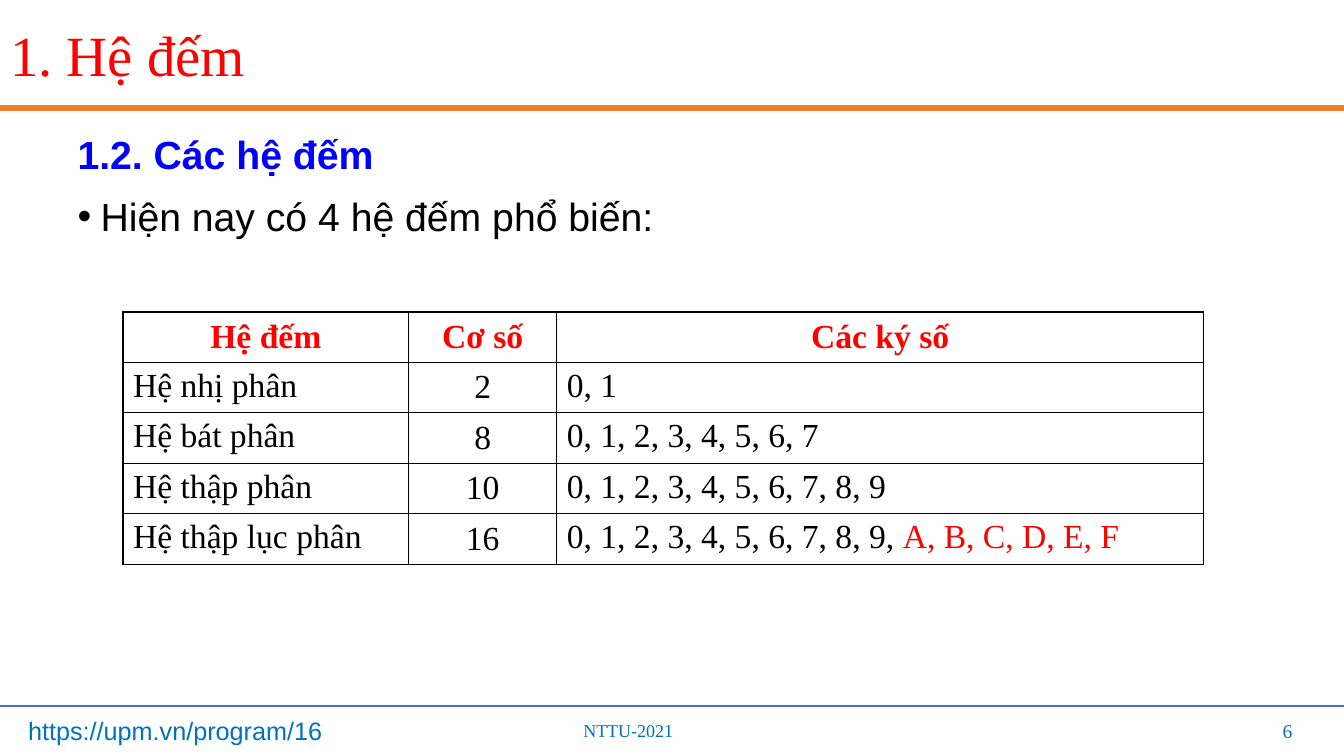
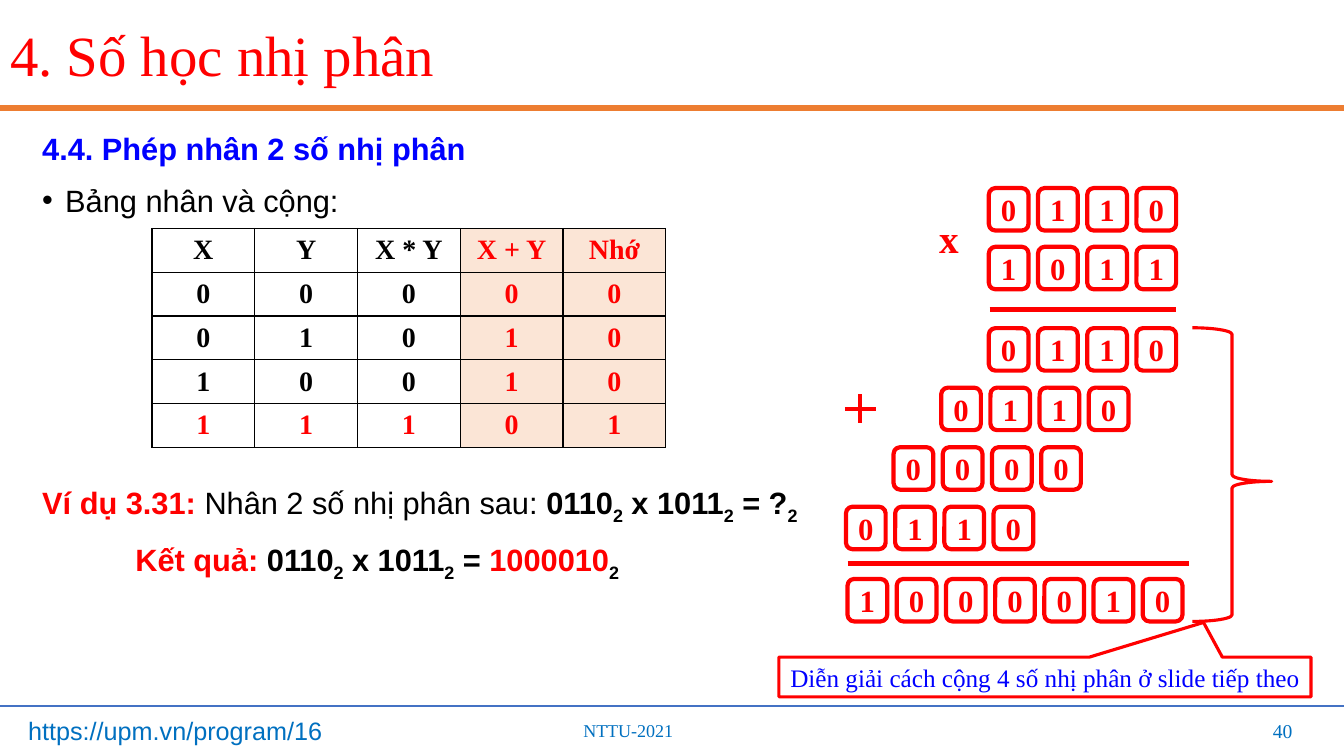
"""Build two lecture slides on number systems and binary multiplication."""
from lxml.etree import SubElement
from pptx import Presentation
from pptx.dml.color import RGBColor
from pptx.enum.shapes import MSO_CONNECTOR, MSO_SHAPE as Kind
from pptx.enum.text import MSO_ANCHOR as Anchor, MSO_AUTO_SIZE as Auto, PP_ALIGN as Align
from pptx.oxml.ns import qn
from pptx.util import Cm, Pt

RED, BLUE, BLACK = "FF0000", "0000FF", "000000"
ORANGE, RULE, FOOT, PEACH = "ED7D31", "4472C4", "0070C0", "FBE5D6"
SERIF, SANS = "Times New Roman", "Arial"
WIDE, HIGH = 33.87, 19.05

BASES = [
    ["Hệ đếm", "Cơ số", "Các ký số"],
    ["Hệ nhị phân", "2", "0, 1"],
    ["Hệ bát phân", "8", "0, 1, 2, 3, 4, 5, 6, 7"],
    ["Hệ thập phân", "10", "0, 1, 2, 3, 4, 5, 6, 7, 8, 9"],
    ["Hệ thập lục phân", "16",
     [("0, 1, 2, 3, 4, 5, 6, 7, 8, 9, ", BLACK), ("A, B, C, D, E, F", RED)]],
]
TRUTH = [
    ["X", "Y", "X * Y", "X + Y", "Nhớ"],
    ["0", "0", "0", "0", "0"],
    ["0", "1", "0", "1", "0"],
    ["1", "0", "0", "1", "0"],
    ["1", "1", "1", "0", "1"],
]
SUB = ("2", BLACK, True, True)
INTRO = [
    {"runs": [("1.2. Các hệ đếm", BLUE, True)]},
    {"runs": [("Hiện nay có 4 hệ đếm phổ biến:", BLACK)], "dot": True},
]
TIMES = [
    {"runs": [("4.4. Phép nhân 2 số nhị phân", BLUE, True)]},
    {"runs": [("Bảng nhân và cộng:", BLACK)], "dot": True},
    {"runs": [("Ví dụ 3.31: ", RED, True), ("Nhân 2 số nhị phân sau: ", BLACK),
              ("0110", BLACK, True), SUB, (" x 1011", BLACK, True), SUB,
              (" = ?", BLACK, True), SUB], "gap": 188},
    {"runs": [("Kết quả: ", RED, True), ("0110", BLACK, True), SUB,
              (" x 1011", BLACK, True), SUB, (" = ", BLACK, True),
              ("1000010", RED, True), SUB], "left": 2.35},
]
FACTORS = ["0110", "1011"]
PARTS = ["0110", "0110", "0000", "0110"]
TOTAL = "1000010"


def hue(code):
    """Turn a hex string into a colour."""
    return RGBColor.from_string(code)


def box(x, y, w, h):
    """Return a place in centimetres as lengths."""
    return Cm(x), Cm(y), Cm(w), Cm(h)


def put(par, runs, size, font):
    """Write formatted runs into a paragraph."""
    for text, code, bold, low in (tuple(r) + (False,) * (4 - len(r)) for r in runs):
        run = par.add_run()
        run.text = text
        run.font.size, run.font.name, run.font.bold = Pt(size), font, bold
        run.font.color.rgb = hue(code)
        if low:
            run.font._element.set("baseline", "-25000")


def label(slide, place, text, size, code, font=SERIF, bold=False, side=Align.LEFT,
          mid=Anchor.TOP):
    """Add one line of text."""
    item = slide.shapes.add_textbox(*box(*place))
    frame = item.text_frame
    frame.word_wrap, frame.vertical_anchor = True, mid
    frame.paragraphs[0].alignment = side
    put(frame.paragraphs[0], [(text, code, bold)], size, font)
    return item


def wire(slide, ends, code=RED, size=3):
    """Add a straight line without a shadow."""
    line = slide.shapes.add_connector(MSO_CONNECTOR.STRAIGHT, *box(*ends))
    line.line.color.rgb, line.line.width = hue(code), Pt(size)
    SubElement(line.element.spPr, qn("a:effectLst"))
    return line


def shape(slide, kind, place, size, tweaks=(), text="", points=22, code=RED, bold=True):
    """Add a red outlined shape with centred text."""
    item = slide.shapes.add_shape(kind, *box(*place))
    item.shadow.inherit = False
    item.fill.background()
    item.line.color.rgb, item.line.width = hue(RED), Pt(size)
    for i, value in enumerate(tweaks):
        item.adjustments[i] = value
    if text:
        frame = item.text_frame
        frame.word_wrap, frame.vertical_anchor = False, Anchor.MIDDLE
        frame.margin_left = frame.margin_right = frame.margin_top = frame.margin_bottom = 0
        frame.paragraphs[0].alignment = Align.CENTER
        put(frame.paragraphs[0], [(text, code, bold)], points, SERIF)


def brand(deck, layout, slide):
    """Move the rules and footers that all slides share to the layout."""
    for holder in list(layout.placeholders):
        if holder.placeholder_format.idx > 1:
            holder.element.getparent().remove(holder.element)
    parts = [
        wire(slide, (0, 2.72, WIDE, 2.72), ORANGE, 4.5),
        wire(slide, (0, 17.8, WIDE, 17.8), RULE, 1.5),
        label(slide, (14.45, 18, 4.52, 0.81), "NTTU-2021", 12.9, FOOT),
        label(slide, (0.46, 17.9, 8.7, 1.02), "https://upm.vn/program/16", 18, FOOT, SANS),
    ]
    for part in parts:
        layout.shapes.element.append(part.element)


def start(deck, title, page, paras, place, size):
    """Add a slide with its title, body and page number."""
    layout = deck.slide_layouts[1]
    slide = deck.slides.add_slide(layout)
    if len(deck.slides) == 1:
        brand(deck, layout, slide)
    head, body = slide.placeholders
    head.left, head.top, head.width, head.height = box(0, 0.08, WIDE, 2.79)
    body.left, body.top, body.width, body.height = box(*place)
    head.text_frame.vertical_anchor = Anchor.MIDDLE
    par = head.text_frame.paragraphs[0]
    par.alignment, par.line_spacing = Align.LEFT, 0.9
    put(par, [(title, RED)], 40.6, SERIF)
    frame = body.text_frame
    frame.auto_size = Auto.NONE
    for i, para in enumerate(paras):
        par = frame.add_paragraph() if i else frame.paragraphs[0]
        par.line_spacing = 1.05
        par.space_before = Pt(para.get("gap", 9.2) if i else 0)
        dot = para.get("dot")
        props = par._p.get_or_add_pPr()
        props.set("marL", str(Cm(0.58 if dot else para.get("left", 0))))
        props.set("indent", str(Cm(-0.58 if dot else 0)))
        if dot:
            SubElement(props, qn("a:buChar"), char="•")
        else:
            SubElement(props, qn("a:buNone"))
        put(par, para["runs"], size, SANS)
    label(slide, (25.2, 17.9, 7.62, 1.02), str(page), 14, FOOT, side=Align.RIGHT,
          mid=Anchor.MIDDLE)
    return slide


def grid(slide, rows, spot, cols, high, size, look):
    """Add a ruled table; look gives colour, bold, centring and fill of a cell."""
    place = box(*spot, sum(cols), high * len(rows))
    table = slide.shapes.add_table(len(rows), len(cols), *place).table
    table.first_row = table.horz_banding = False
    for col, width in zip(table.columns, cols):
        col.width = Cm(width)
    for r, row in enumerate(rows):
        table.rows[r].height = Cm(high)
        for c, text in enumerate(row):
            cell = table.cell(r, c)
            code, bold, mid, fill = look(r, c)
            props = cell._tc.get_or_add_tcPr()
            for side in "LRTB":
                edge = SubElement(props, qn("a:ln" + side), w=str(Pt(1)))
                paint = SubElement(edge, qn("a:solidFill"))
                SubElement(paint, qn("a:srgbClr"), val=BLACK)
            if fill:
                cell.fill.solid()
                cell.fill.fore_color.rgb = hue(fill)
            else:
                cell.fill.background()
            cell.vertical_anchor = Anchor.MIDDLE if mid else Anchor.TOP
            par = cell.text_frame.paragraphs[0]
            par.alignment = Align.CENTER if mid else Align.LEFT
            put(par, [(text, code, bold)] if isinstance(text, str) else text, size, SERIF)


def base_look(r, c):
    """Style a cell of the table of bases."""
    return BLACK if r else RED, r == 0, r == 0 or c == 1, None


def truth_look(r, c):
    """Style a cell of the table of products and sums."""
    return RED if c > 2 or r == 4 else BLACK, True, True, PEACH if c > 2 else None


def digits(slide, text, x, y):
    """Add a row of boxed digits."""
    for i, digit in enumerate(text):
        shape(slide, Kind.ROUNDED_RECTANGLE, (x + i * 1.24, y, 1, 1.07), 3, text=digit)


def main():
    """Build and save both slides."""
    deck = Presentation()
    deck.slide_width, deck.slide_height = Cm(WIDE), Cm(HIGH)

    slide = start(deck, "1. Hệ đếm", 6, INTRO, (1.7, 3.1, 31.8, 13.77), 28)
    grid(slide, BASES, (3.1, 7.86), [7.2, 3.73, 16.3], 1.19, 24, base_look)

    slide = start(deck, "4. Số học nhị phân", 40, TIMES, (0.81, 3.1, 32, 14.48), 22)
    grid(slide, TRUTH, (3.83, 5.76), [2.59] * 5, 1.04, 20, truth_look)
    for i, text in enumerate(FACTORS):
        digits(slide, text, 24.92, 4.74 + i * 1.48)
    for i, text in enumerate(PARTS):
        digits(slide, text, 24.92 - i * 1.2, 8.27 + i * 1.5)
    digits(slide, TOTAL, 21.36, 14.59)
    label(slide, (23.42, 5.28, 1.02, 1.45), "x", 28, RED, bold=True)
    for ends in [(24.94, 7.8, 29.64, 7.8), (21.36, 14.2, 29.97, 14.2),
                 (21.29, 10.31, 22.07, 10.31), (21.68, 9.93, 21.68, 10.67)]:
        wire(slide, ends)
    shape(slide, Kind.RIGHT_BRACE, (30.05, 8.26, 2, 7.4), 2.25, (0.083, 0.523))
    shape(slide, Kind.RECTANGULAR_CALLOUT, (19.63, 16.56, 13.41, 1), 2.25, (0.298, -1.374),
          "Diễn giải cách cộng 4 số nhị phân ở slide tiếp theo", 18, BLUE, False)
    deck.save("out.pptx")


if __name__ == "__main__":
    main()
